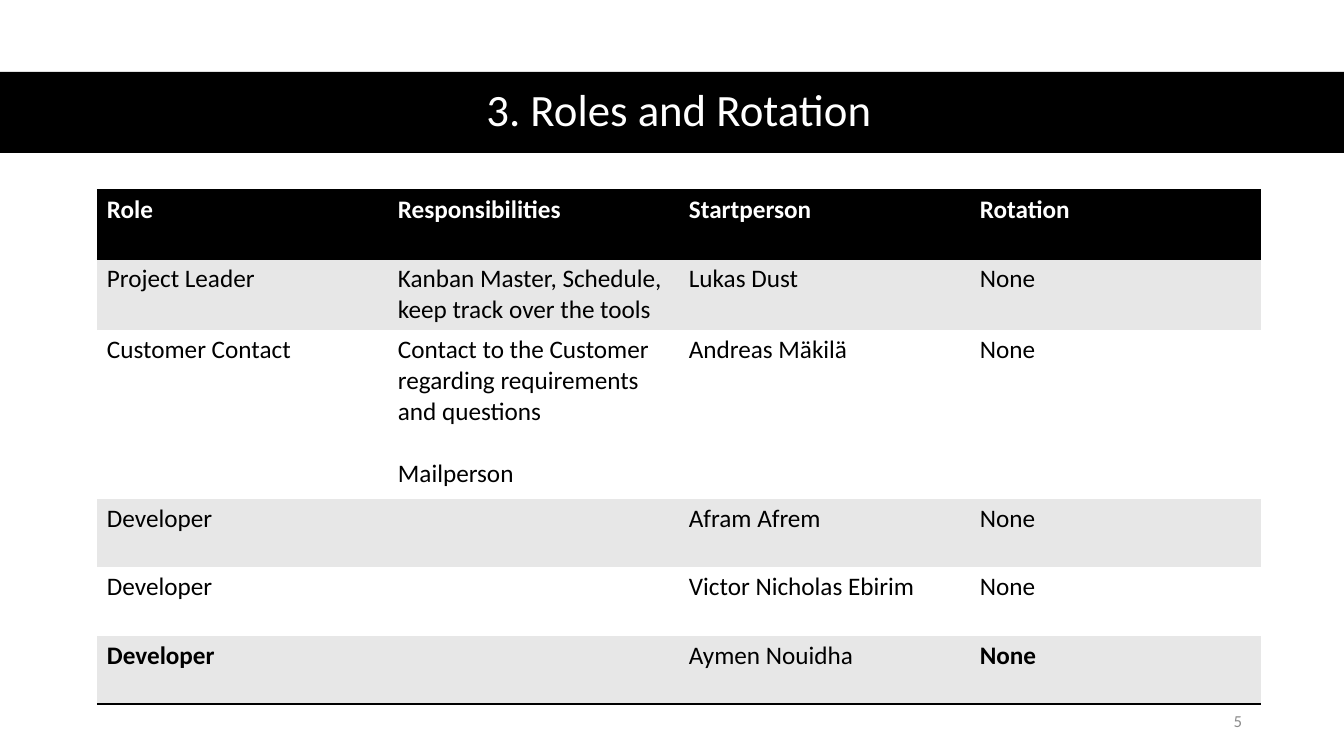
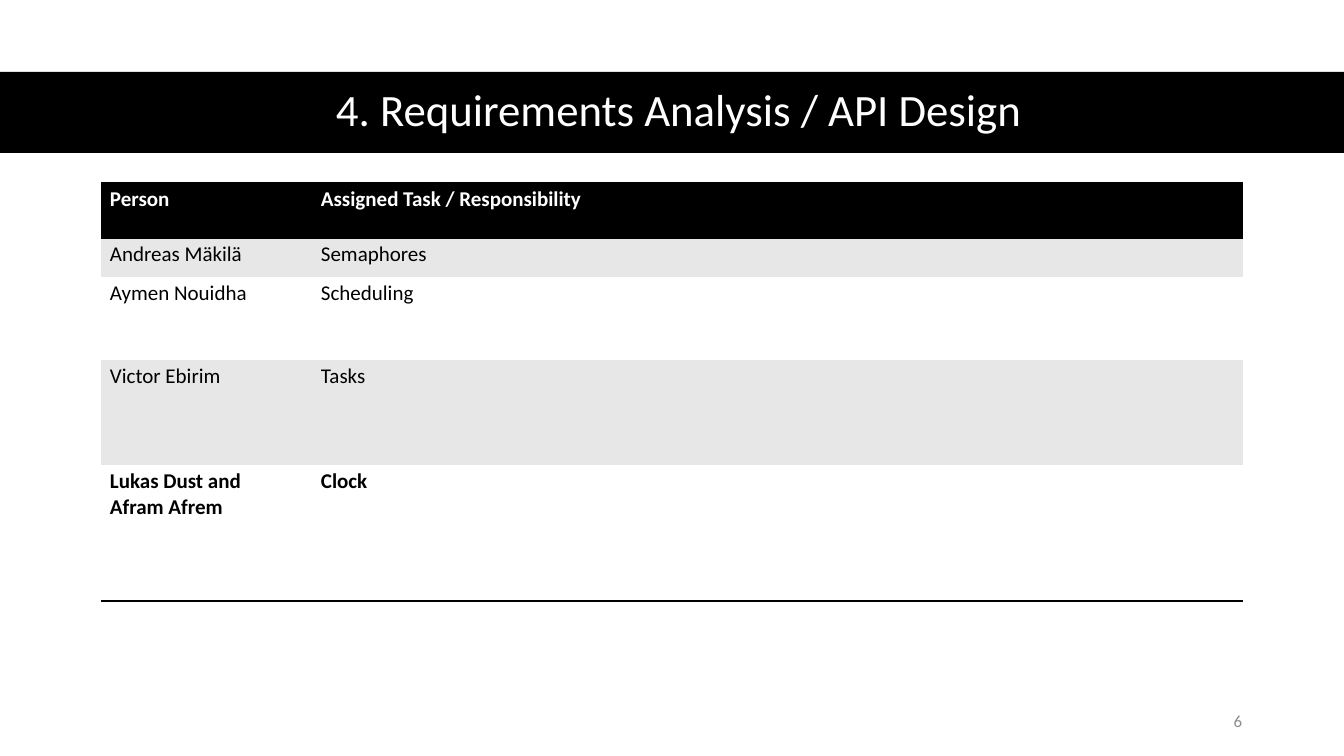
from pptx import Presentation
from pptx.dml.color import RGBColor
from pptx.enum.shapes import MSO_SHAPE
from pptx.enum.text import MSO_ANCHOR, MSO_AUTO_SIZE, PP_ALIGN
from pptx.oxml import parse_xml
from pptx.oxml.ns import nsdecls, qn
from pptx.util import Pt

# Content: a cell is a string, with one line per paragraph
ROLES = [
    ("Role", "Responsibilities", "Startperson", "Rotation"),
    ("Project Leader", "Kanban Master, Schedule, keep track over the tools", "Lukas Dust", "None"),
    ("Customer Contact",
     "Contact to the Customer regarding requirements and questions\nMailperson",
     "Andreas Mäkilä", "None"),
    ("Developer", "", "Afram Afrem", "None"),
    ("Developer", "", "Victor Nicholas Ebirim", "None"),
    ("Developer", "", "Aymen Nouidha", "None"),
]
TASKS = [
    ("Person", "Assigned Task / Responsibility"),
    ("Andreas Mäkilä", "Semaphores"),
    ("Aymen Nouidha", "Scheduling"),
    ("Victor Ebirim", "Tasks"),
    ("Lukas Dust and \nAfram Afrem", "Clock"),
]
SLIDES = [
    dict(title="3. Roles and Rotation", number="5", rows=ROLES, left=97, top=190,
         widths=[291] * 4, heights=[69, 71, 169, 68, 69, 68],
         size=18, margins=(10, 5), gap=22),
    dict(title="4. Requirements Analysis / API Design", number="6", rows=TASKS, left=101, top=183,
         widths=[211, 931], heights=[55, 39, 83, 105, 136],
         size=15, margins=(9, 4), gap=0),
]

# Shared style
FONT = "Calibri"
BLACK, WHITE, STRIPE, GREY = "000000", "FFFFFF", "E7E7E7", "8C8C8C"
PLAIN_TABLE = "{2D5ABB26-0587-4C30-8999-92F81FD0307C}"
EMU = 914400 / 100.8


def px(*values):
    return [round(v * EMU) for v in values]


def rgb(color):
    return RGBColor.from_string(color)


def set_font(p, size, color, bold=False):
    p.font.name, p.font.size, p.font.bold = FONT, Pt(size), bold
    p.font.color.rgb = rgb(color)


def add_frame(s, title, number):
    # Band behind the title
    band = s.shapes.add_shape(MSO_SHAPE.RECTANGLE, *px(0, 72, 1344, 81))
    band.shadow.inherit = False
    band.fill.solid()
    band.fill.fore_color.rgb = rgb(BLACK)
    band.line.fill.background()
    s.shapes._spTree.insert(2, band._element)

    # Title
    sp = s.shapes.title
    sp.left, sp.top, sp.width, sp.height = px(61, 71, 1236, 81)
    tf = sp.text_frame
    tf.text = title
    tf.auto_size, tf.vertical_anchor = MSO_AUTO_SIZE.NONE, MSO_ANCHOR.MIDDLE
    p = tf.paragraphs[0]
    p.alignment, p.line_spacing = PP_ALIGN.CENTER, 0.9
    set_font(p, 32, WHITE)

    # Slide number
    tf = s.shapes.add_textbox(*px(950, 701, 302, 40)).text_frame
    tf.word_wrap, tf.vertical_anchor = True, MSO_ANCHOR.MIDDLE
    p = tf.paragraphs[0]
    p.text, p.alignment, p.space_after = number, PP_ALIGN.RIGHT, Pt(6)
    set_font(p, 12, GREY)


def add_borders(cell, sides):
    tcPr = cell._tc.get_or_add_tcPr()
    for i, side in enumerate(sides):
        tcPr.insert(i, parse_xml(
            f'<a:ln{side} {nsdecls("a")} w="{Pt(2)}"><a:solidFill>'
            f'<a:srgbClr val="{BLACK}"/></a:solidFill></a:ln{side}>'))


def add_grid(s, rows, left, top, widths, heights, size, margins, gap):
    box = px(left, top, sum(widths), sum(heights))
    table = s.shapes.add_table(len(rows), len(widths), *box).table
    table._tbl.tblPr.find(qn("a:tableStyleId")).text = PLAIN_TABLE
    table.first_row = table.horz_banding = False
    for col, width in zip(table.columns, px(*widths)):
        col.width = width
    for row, height in zip(table.rows, px(*heights)):
        row.height = height

    side, edge = px(*margins)
    last = len(rows) - 1
    for i, row in enumerate(rows):
        fill = BLACK if i == 0 else STRIPE if i % 2 else WHITE
        for j, text in enumerate(row):
            cell = table.cell(i, j)
            cell.margin_left = cell.margin_right = side
            cell.margin_top = cell.margin_bottom = edge
            cell.fill.solid()
            cell.fill.fore_color.rgb = rgb(fill)
            if i in (0, last):
                add_borders(cell, "TB" if i == 0 else "B")
            # The header is bold, and so are the outer cells of the last row
            bold = i == 0 or (i == last and j in (0, len(row) - 1))
            cell.text_frame.text = text
            for k, p in enumerate(cell.text_frame.paragraphs):
                set_font(p, size, WHITE if i == 0 else BLACK, bold)
                if k:
                    p.space_before = Pt(gap)


prs = Presentation()
prs.slide_width, prs.slide_height = px(1344, 756)
for content in SLIDES:
    s = prs.slides.add_slide(prs.slide_layouts[5])
    grid = dict(content)
    add_frame(s, grid.pop("title"), grid.pop("number"))
    add_grid(s, **grid)
prs.save("out.pptx")
